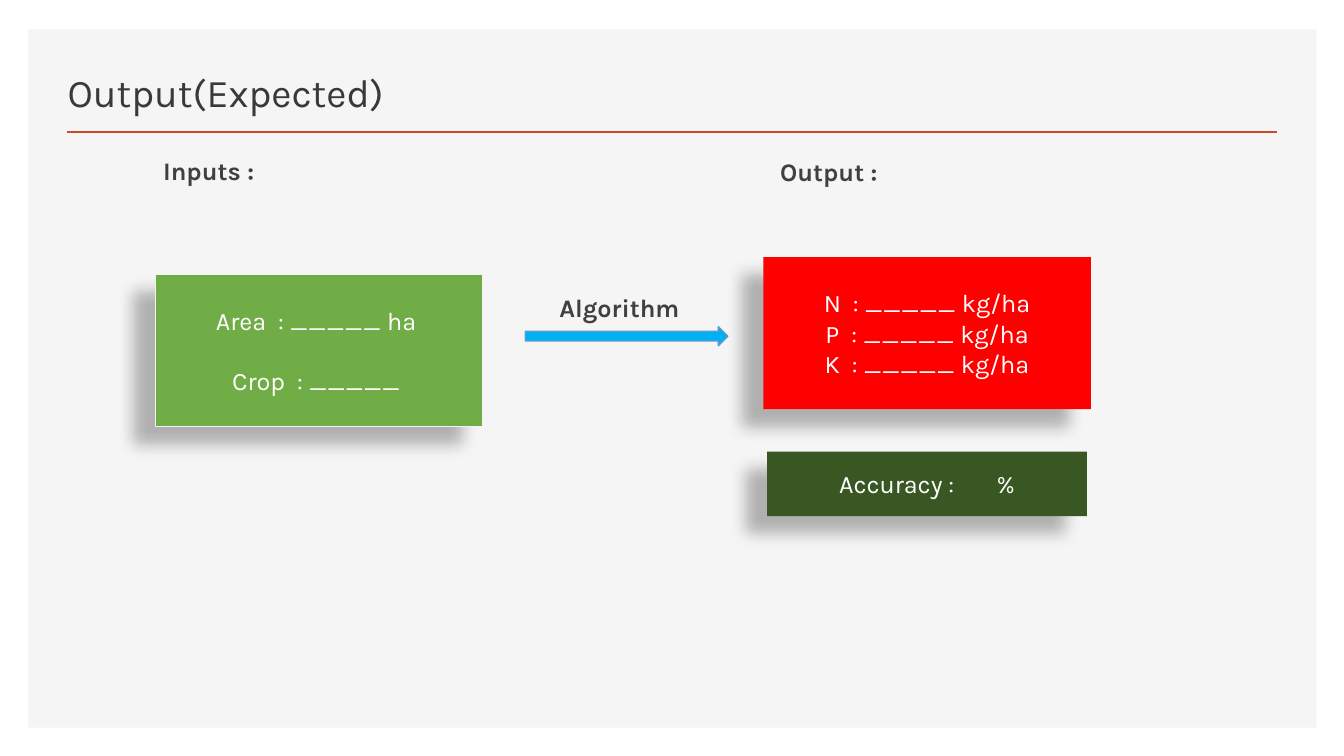
"""Build the expected-output slide: inputs, algorithm arrow and outputs."""
from lxml import etree
from pptx import Presentation
from pptx.dml.color import RGBColor
from pptx.enum.shapes import MSO_CONNECTOR, MSO_SHAPE
from pptx.enum.text import MSO_ANCHOR, PP_ALIGN
from pptx.oxml import parse_xml
from pptx.oxml.ns import nsdecls, qn
from pptx.util import Inches, Pt

RECT, ARROW = MSO_SHAPE.RECTANGLE, MSO_SHAPE.RIGHT_ARROW
STRAIGHT = MSO_CONNECTOR.STRAIGHT
MIDDLE, BOTTOM = MSO_ANCHOR.MIDDLE, MSO_ANCHOR.BOTTOM
LEFT, CENTER = PP_ALIGN.LEFT, PP_ALIGN.CENTER

FONT = "Karla"
TITLE = "Output(Expected)"
LABELS = [
    ("Inputs :", 1.52, 1.54),
    ("Output :", 7.64, 1.55),
    ("Algorithm", 5.45, 2.9),
]
CARDS = [
    (["N  : _____ kg/ha", "P  : _____ kg/ha", "K  : _____ kg/ha"],
     (7.57, 2.55, 3.25, 1.51), "FF0000", None, 0),
    (["Accuracy : %"], (7.61, 4.48, 3.17, 0.64), "385723", None, 0),
    (["Area  : _____ ha ", "Crop  : _____ "],
     (1.54, 2.72, 3.25, 1.51), "70AD47", "F2F2F2", 21.5),
]
PERCENT_GAP = 26
SHADOW = (
    f'<a:effectLst {nsdecls("a")}><a:outerShdw blurRad="{Pt(11.8)}" '
    f'dist="{Pt(19.7)}" dir="{141 * 60000}" algn="ctr" rotWithShape="0">'
    '<a:srgbClr val="000000"><a:alpha val="28000"/></a:srgbClr>'
    '</a:outerShdw></a:effectLst>'
)


def color(hex_code):
    return RGBColor.from_string(hex_code)


def set_font(paragraph, size, hex_code, bold=False):
    font = paragraph.font
    font.name, font.size, font.bold = FONT, Pt(size), bold
    font.color.rgb = color(hex_code)


def add_block(slide, kind, box, fill, line=None, width=0.75):
    block = slide.shapes.add_shape(kind, *map(Inches, box))
    block.shadow.inherit = False
    block.fill.solid()
    block.fill.fore_color.rgb = color(fill)
    if line:
        block.line.color.rgb = color(line)
        block.line.width = Pt(width)
    else:
        block.line.fill.background()
    return block


def add_label(slide, text, left, top):
    frame = slide.shapes.add_textbox(
        Inches(left), Inches(top), Inches(4.94), Inches(0.5)).text_frame
    frame.word_wrap = True
    label = frame.paragraphs[0]
    label.text = text
    label.line_spacing = Pt(18)
    label.space_before, label.space_after = Pt(10), Pt(6)
    set_font(label, 18, "404040", True)


def add_card(slide, lines, box, fill, line, gap):
    card = add_block(slide, RECT, box, fill, line)
    properties = card._element.spPr
    properties.replace(properties.find(qn("a:effectLst")), parse_xml(SHADOW))
    frame = card.text_frame
    frame.word_wrap = True
    frame.vertical_anchor = MIDDLE
    for index, text in enumerate(lines):
        entry = frame.add_paragraph() if index else frame.paragraphs[0]
        entry.alignment = CENTER
        entry.space_before = Pt(gap if index else 0)
        set_font(entry, 18, "FFFFFF")
        before, percent, _ = text.partition(" %")
        entry.add_run().text = before
        if percent:
            blank = entry.add_run()
            blank.text = " "
            blank._r.get_or_add_rPr().set("spc", str(PERCENT_GAP * 100))
            entry.add_run().text = "%"


def main():
    deck = Presentation()
    deck.slide_width, deck.slide_height = Inches(13.33), Inches(7.5)
    slide = deck.slides.add_slide(deck.slide_layouts[5])

    panel = add_block(slide, RECT, (0.28, 0.29, 12.78, 6.93), "F5F5F5")
    slide.shapes._spTree.insert(2, panel._element)

    title = slide.shapes.title
    title.left, title.top = Inches(0.57), Inches(0.49)
    title.width, title.height = Inches(7.52), Inches(0.7)
    title.text_frame.text = TITLE
    title.text_frame.vertical_anchor = BOTTOM
    heading = title.text_frame.paragraphs[0]
    heading.alignment = LEFT
    set_font(heading, 28, "3B3838")

    rule = slide.shapes.add_connector(
        STRAIGHT, Inches(0.66), Inches(1.31), Inches(12.67), Inches(1.31))
    rule.line.color.rgb = color("D24726")
    rule.line.width = Pt(2)
    etree.SubElement(rule._element.spPr, qn("a:effectLst"))

    add_block(slide, ARROW, (5.21, 3.24, 2.01, 0.19), "00B0F0", "5B9BD5", 1)
    for card in CARDS:
        add_card(slide, *card)
    for label in LABELS:
        add_label(slide, *label)

    deck.save("out.pptx")


if __name__ == "__main__":
    main()
